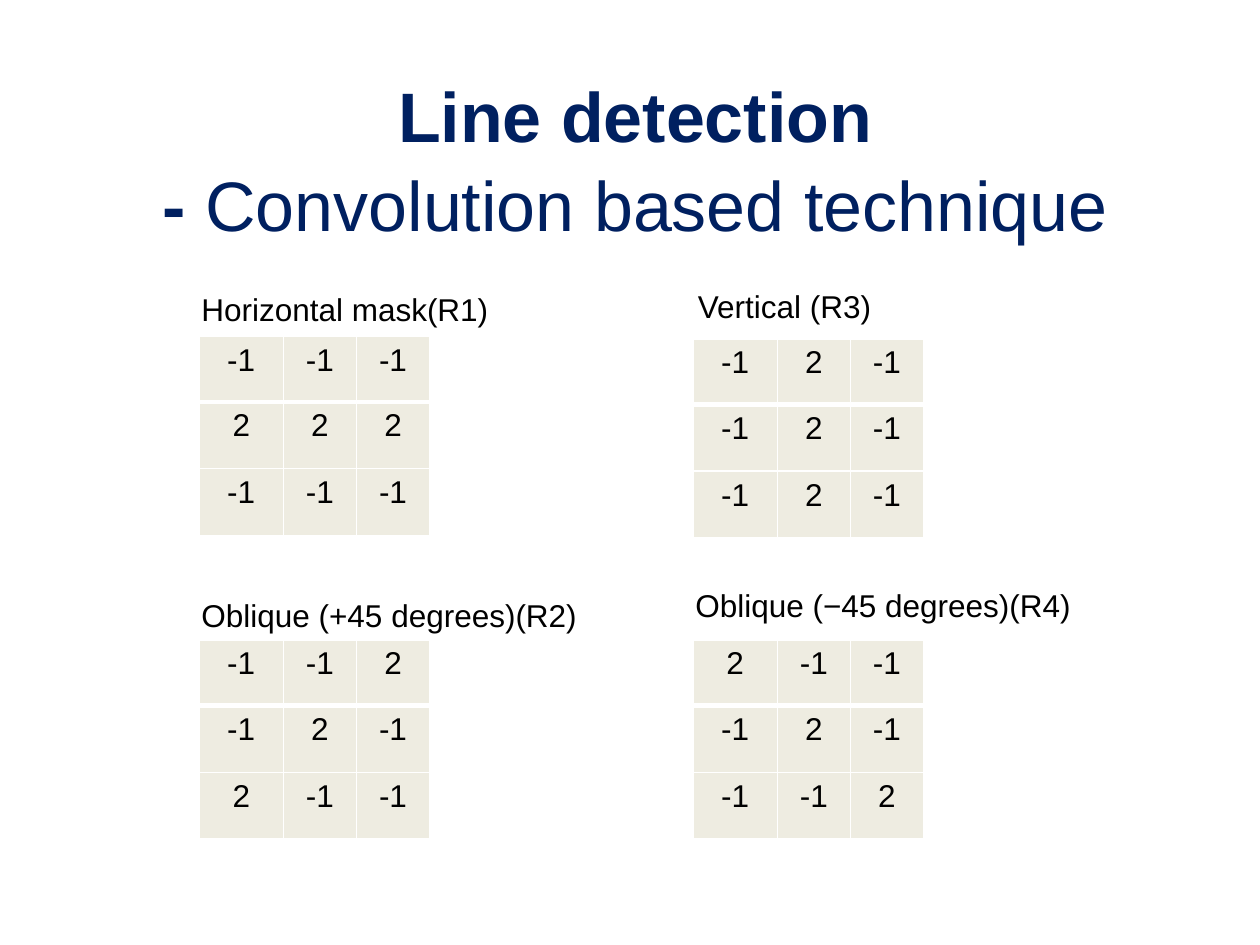
from dataclasses import dataclass

from lxml.etree import SubElement
from pptx import Presentation
from pptx.dml.color import RGBColor
from pptx.enum.text import MSO_ANCHOR, PP_ALIGN
from pptx.oxml.ns import qn
from pptx.util import Inches, Pt


@dataclass(frozen=True)
class Theme:
    font: str = "Arial"
    title_color: str = "002060"
    text_color: str = "000000"
    cell_color: str = "EEECE1"
    border_color: str = "FFFFFF"
    title_size: int = 40
    body_size: int = 18
    border: int = 1
    header_border: int = 3


THEME = Theme()

# Grid, in inches
COLUMN_LEFTS = (1.58, 5.5)
CELL_WIDTHS = (0.67, 0.58, 0.58)
CELL_HEIGHTS = (0.52, 0.53, 0.53)
LABEL_HEIGHT = 0.4

# Label, grid column, label left, label top, label width, table top, mask values
MASKS = (
    ("Horizontal mask(R1)", 0, 1.5, 2.25, 2.5, 2.67,
     ((-1, -1, -1), (2, 2, 2), (-1, -1, -1))),
    ("Vertical (R3)", 1, 5.44, 2.23, 1.59, 2.69,
     ((-1, 2, -1), (-1, 2, -1), (-1, 2, -1))),
    ("Oblique (+45 degrees)(R2)", 0, 1.5, 4.68, 3.21, 5.08,
     ((-1, -1, 2), (-1, 2, -1), (2, -1, -1))),
    ("Oblique (−45 degrees)(R4)", 1, 5.42, 4.6, 3.21, 5.08,
     ((2, -1, -1), (-1, 2, -1), (-1, -1, 2))),
)


def write_text(paragraph, text, *, size=THEME.body_size, color=THEME.text_color,
               bold=False, align=PP_ALIGN.LEFT):
    """Append text in one format; a newline becomes a line break."""
    paragraph.alignment = align
    for number, line in enumerate(text.split("\n")):
        if number:
            paragraph.add_line_break()
        run = paragraph.add_run()
        run.text = line
        run.font.name = THEME.font
        run.font.size = Pt(size)
        run.font.bold = bold
        run.font.color.rgb = RGBColor.from_string(color)


def add_text_box(slide, left, top, width, height, *, wrap=False, anchor=MSO_ANCHOR.TOP):
    shape = slide.shapes.add_textbox(*map(Inches, (left, top, width, height)))
    shape.text_frame.word_wrap = wrap
    shape.text_frame.vertical_anchor = anchor
    return shape.text_frame.paragraphs[0]


def add_title(slide):
    paragraph = add_text_box(slide, 0.54, 0.65, 9, 1.19, wrap=True, anchor=MSO_ANCHOR.MIDDLE)
    paragraph.line_spacing = 1.05
    style = {"size": THEME.title_size, "color": THEME.title_color, "align": PP_ALIGN.CENTER}
    write_text(paragraph, "Line detection\n- ", bold=True, **style)
    write_text(paragraph, "Convolution based technique", **style)


def set_borders(cell, widths):
    """Draw the cell's edges, given as tag and width in points, ahead of its fill."""
    properties = cell._tc.get_or_add_tcPr()
    for tag, width in widths.items():
        line = SubElement(properties, qn(f"a:{tag}"), w=str(Pt(width)))
        fill = SubElement(line, qn("a:solidFill"))
        SubElement(fill, qn("a:srgbClr"), val=THEME.border_color)


def add_mask_table(slide, left, top, values):
    frame = slide.shapes.add_table(
        len(CELL_HEIGHTS), len(CELL_WIDTHS), Inches(left), Inches(top),
        Inches(sum(CELL_WIDTHS)), Inches(sum(CELL_HEIGHTS)))
    table = frame.table
    for column, width in zip(table.columns, CELL_WIDTHS):
        column.width = Inches(width)
    for row, height in zip(table.rows, CELL_HEIGHTS):
        row.height = Inches(height)
    for row_index, row_values in enumerate(values):
        for column_index, value in enumerate(row_values):
            cell = table.cell(row_index, column_index)
            # The rule below the first row is heavier than the others
            widths = dict.fromkeys(("lnL", "lnR", "lnT", "lnB"), THEME.border)
            if row_index < 2:
                widths[("lnB", "lnT")[row_index]] = THEME.header_border
            set_borders(cell, widths)
            cell.fill.solid()
            cell.fill.fore_color.rgb = RGBColor.from_string(THEME.cell_color)
            write_text(cell.text_frame.paragraphs[0], str(value), align=PP_ALIGN.CENTER)


def main():
    presentation = Presentation()
    presentation.slide_width, presentation.slide_height = Inches(10), Inches(7.5)
    slide = presentation.slides.add_slide(presentation.slide_layouts[6])

    add_title(slide)

    # Each convolution mask with its label
    for label, column, label_left, label_top, label_width, table_top, values in MASKS:
        add_mask_table(slide, COLUMN_LEFTS[column], table_top, values)
        paragraph = add_text_box(slide, label_left, label_top, label_width, LABEL_HEIGHT)
        write_text(paragraph, label)

    presentation.save("out.pptx")


if __name__ == "__main__":
    main()
